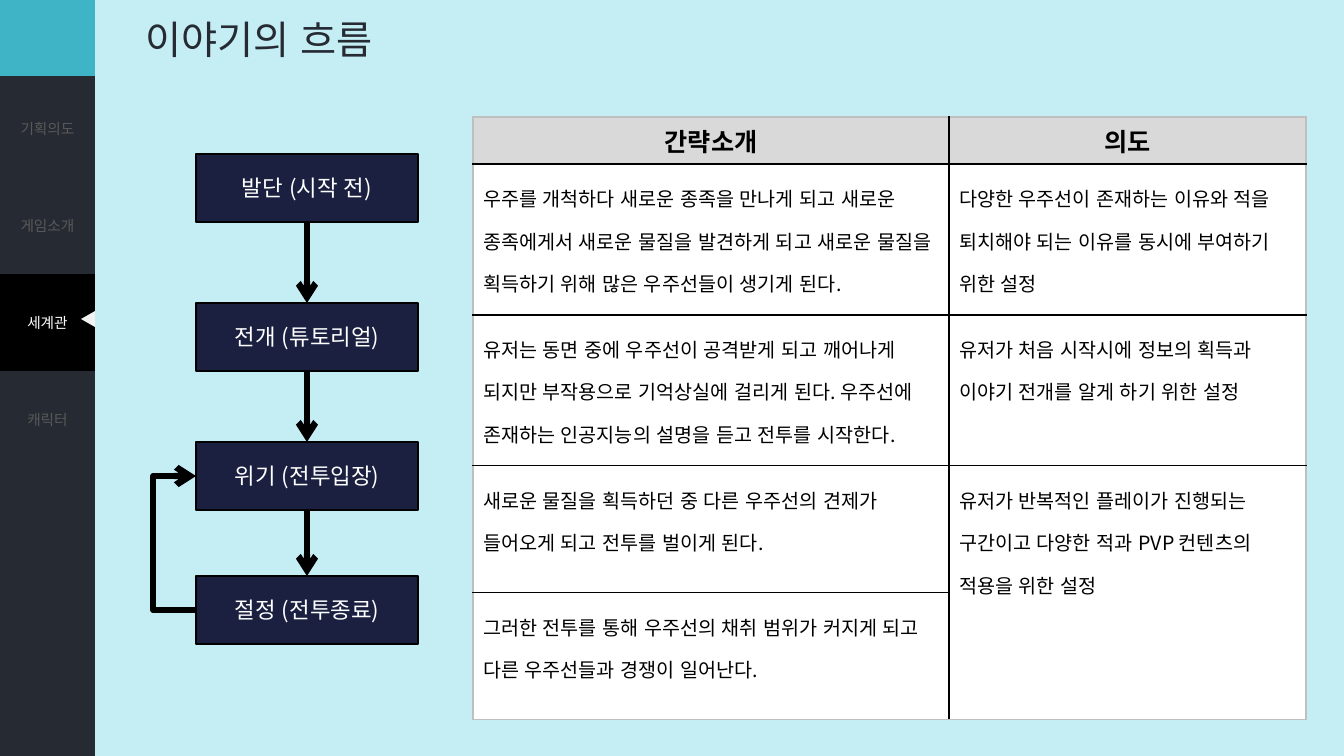
"""Build the story flow slide: sidebar menu, four-step flowchart and summary table."""
from itertools import pairwise

from lxml import etree
from pptx import Presentation
from pptx.dml.color import RGBColor
from pptx.enum.lang import MSO_LANGUAGE_ID
from pptx.enum.shapes import MSO_CONNECTOR, MSO_SHAPE
from pptx.enum.text import MSO_ANCHOR, PP_ALIGN
from pptx.oxml.ns import qn
from pptx.util import Pt

RECT, TRIANGLE = MSO_SHAPE.RECTANGLE, MSO_SHAPE.ISOSCELES_TRIANGLE
STRAIGHT, ELBOW = MSO_CONNECTOR.STRAIGHT, MSO_CONNECTOR.ELBOW
TOP, MIDDLE = MSO_ANCHOR.TOP, MSO_ANCHOR.MIDDLE
LEFT, CENTER = PP_ALIGN.LEFT, PP_ALIGN.CENTER
KOREAN = MSO_LANGUAGE_ID.KOREAN

FONT = "Noto Sans CJK KR"
PLAIN_TABLE = "{2D5ABB26-0587-4C30-8999-92F81FD0307C}"
COLORS = {
    "background": "C4EDF4", "accent": "3EB4C6", "sidebar": "262A33",
    "muted": "595959", "marker": "F2F2F2", "step": "1B2040",
    "header": "D9D9D9", "edge": "BFBFBF", "black": "000000", "white": "FFFFFF",
}

TITLE = "이야기의 흐름"
MENU = ["기획의도", "게임소개", "세계관", "캐릭터", "", "", ""]
CURRENT = "세계관"
STEPS = [
    ("발단 (시작 전)", 154),
    ("전개 (튜토리얼)", 303),
    ("위기 (전투입장)", 442),
    ("절정 (전투종료)", 576),
]
SUMMARY = [
    ("간략소개", "의도"),
    ("우주를 개척하다 새로운 종족을 만나게 되고 새로운 종족에게서 새로운 물질을 발견하게 되고 "
     "새로운 물질을 획득하기 위해 많은 우주선들이 생기게 된다.",
     "다양한 우주선이 존재하는 이유와 적을 퇴치해야 되는 이유를 동시에 부여하기 위한 설정"),
    ("유저는 동면 중에 우주선이 공격받게 되고 깨어나게 되지만 부작용으로 기억상실에 걸리게 된다. "
     "우주선에 존재하는 인공지능의 설명을 듣고 전투를 시작한다.",
     "유저가 처음 시작시에 정보의 획득과 이야기 전개를 알게 하기 위한 설정"),
    ("새로운 물질을 획득하던 중 다른 우주선의 견제가 들어오게 되고 전투를 벌이게 된다.",
     "유저가 반복적인 플레이가 진행되는 구간이고 다양한 적과 PVP 컨텐츠의 적용을 위한 설정"),
    ("그러한 전투를 통해 우주선의 채취 범위가 커지게 되고 다른 우주선들과 경쟁이 일어난다.", ""),
]
SUMMARY_LEFT, SUMMARY_TOP = 473, 117
SUMMARY_COLUMNS = [476, 357]
SUMMARY_ROWS = [47, 151, 151, 127, 127]

SLIDE_W, SLIDE_H = 1344, 756
SIDEBAR_W, ACCENT_H = 95, 76
MENU_TOP, MENU_ROW_H = 80, 97
STEP_LEFT, STEP_W, STEP_H = 196, 222, 68
LOOP_REACH = 44
EMU_PER_PX = 12192000 / SLIDE_W


def px(*lengths):
    return [round(length * EMU_PER_PX) for length in lengths]


def rgb(name):
    return RGBColor.from_string(COLORS[name])


def write(frame, text, size, color, align=LEFT, bold=False, spacing=None):
    paragraph = frame.paragraphs[0]
    paragraph.alignment = align
    if spacing:
        paragraph.line_spacing = spacing
    run = paragraph.add_run()
    run.text = text
    run.font.name, run.font.size, run.font.bold = FONT, Pt(size), bold
    run.font.color.rgb = rgb(color)
    run.font.language_id = KOREAN
    run.font._element.set("kern", "0")
    latin = run.font._element.find(qn("a:latin"))
    latin.addnext(etree.Element(qn("a:ea"), typeface=FONT))


def add_block(slide, kind, box, fill, outline=None):
    block = slide.shapes.add_shape(kind, *px(*box))
    block.shadow.inherit = False
    block.fill.solid()
    block.fill.fore_color.rgb = rgb(fill)
    if outline:
        block.line.color.rgb = rgb(outline)
        block.line.width = Pt(2)
    else:
        block.line.fill.background()
    return block


def add_grid(slide, left, top, columns, rows):
    box = px(left, top, sum(columns), sum(rows))
    grid = slide.shapes.add_table(len(rows), len(columns), *box).table
    grid.first_row = grid.horz_banding = False
    grid._tbl.tblPr.find(qn("a:tableStyleId")).text = PLAIN_TABLE
    for column, width in zip(grid.columns, px(*columns)):
        column.width = width
    for row, height in zip(grid.rows, px(*rows)):
        row.height = height
    return grid


def paint(cell, fill, anchor):
    cell.fill.solid()
    cell.fill.fore_color.rgb = rgb(fill)
    cell.vertical_anchor = anchor


def set_borders(cell, sides):
    properties = cell._tc.get_or_add_tcPr()
    for position, (side, color) in enumerate(sides.items()):
        border = etree.Element(qn(f"a:{side}"), w=str(Pt(1)))
        fill = etree.SubElement(border, qn("a:solidFill"))
        etree.SubElement(fill, qn("a:srgbClr"), val=COLORS[color])
        properties.insert(position, border)


def add_arrow(slide, kind, *ends):
    arrow = slide.shapes.add_connector(kind, *px(*ends))
    arrow.line.color.rgb = rgb("black")
    arrow.line.width = Pt(4.5)
    etree.SubElement(arrow.line._get_or_add_ln(), qn("a:tailEnd"), type="arrow")
    etree.SubElement(arrow._element.spPr, qn("a:effectLst"))
    return arrow


def add_sidebar(slide):
    rows = [MENU_ROW_H] * len(MENU)
    base = add_grid(slide, 0, ACCENT_H, [SIDEBAR_W], rows)
    for cell in base.iter_cells():
        paint(cell, "sidebar", MIDDLE)
    add_block(slide, RECT, (0, 0, SIDEBAR_W, ACCENT_H), "accent")
    menu = add_grid(slide, 0, MENU_TOP, [SIDEBAR_W], rows)
    for cell, label in zip(menu.iter_cells(), MENU):
        active = label == CURRENT
        paint(cell, "black" if active else "sidebar", MIDDLE)
        if label:
            write(cell.text_frame, label, 10.5, "white" if active else "muted", CENTER)
    marker = add_block(slide, TRIANGLE, (80, 312, 16, 14), "marker")
    marker.rotation = 270


def add_title(slide):
    frame = slide.shapes.add_textbox(*px(136, 1, 1141, 75)).text_frame
    frame.word_wrap = True
    frame.vertical_anchor = MIDDLE
    write(frame, TITLE, 28, "sidebar")


def add_summary(slide):
    summary = add_grid(slide, SUMMARY_LEFT, SUMMARY_TOP, SUMMARY_COLUMNS, SUMMARY_ROWS)
    last_row, last_column = len(SUMMARY_ROWS) - 1, len(SUMMARY_COLUMNS) - 1
    merged = (last_row - 1, last_column)
    for r, texts in enumerate(SUMMARY):
        for c, text in enumerate(texts):
            cell = summary.cell(r, c)
            paint(cell, "white" if r else "header", TOP if r else MIDDLE)
            set_borders(cell, {
                "lnL": "black" if c else "edge",
                "lnR": "black" if c < last_column else "edge",
                "lnT": "black" if r else "edge",
                "lnB": "edge" if r == last_row or (r, c) == merged else "black",
            })
            if r == 0:
                write(cell.text_frame, text, 18, "black", CENTER, bold=True)
            elif text:
                write(cell.text_frame, text, 14, "black", spacing=1.5)
    summary.cell(*merged).merge(summary.cell(last_row, last_column))


def add_flow(slide):
    for label, top in STEPS:
        step = add_block(slide, RECT, (STEP_LEFT, top, STEP_W, STEP_H), "step", "black")
        step.text_frame.vertical_anchor = MIDDLE
        step.text_frame.word_wrap = True
        write(step.text_frame, label, 16, "white", CENTER)

    tops = [top for _, top in STEPS]
    loop_start, loop_end = tops[3] + STEP_H / 2, tops[2] + STEP_H / 2
    loop = add_arrow(slide, ELBOW, STEP_LEFT + 1, loop_start, STEP_LEFT, loop_end)
    transform = loop._element.spPr.find(qn("a:xfrm"))
    transform.attrib.clear()
    transform.set("rot", "10800000")
    adjustments = loop._element.spPr.find(qn("a:prstGeom")).find(qn("a:avLst"))
    etree.SubElement(adjustments, qn("a:gd"), name="adj1", fmla=f"val {LOOP_REACH * 100000}")

    center = STEP_LEFT + STEP_W / 2
    for upper, lower in pairwise(tops):
        add_arrow(slide, STRAIGHT, center, upper + STEP_H, center, lower)


def main():
    deck = Presentation()
    deck.slide_width, deck.slide_height = px(SLIDE_W, SLIDE_H)
    slide = deck.slides.add_slide(deck.slide_layouts[6])
    add_block(slide, RECT, (0, 0, SLIDE_W, SLIDE_H), "background")
    add_sidebar(slide)
    add_title(slide)
    add_summary(slide)
    add_flow(slide)
    deck.save("out.pptx")


if __name__ == "__main__":
    main()
